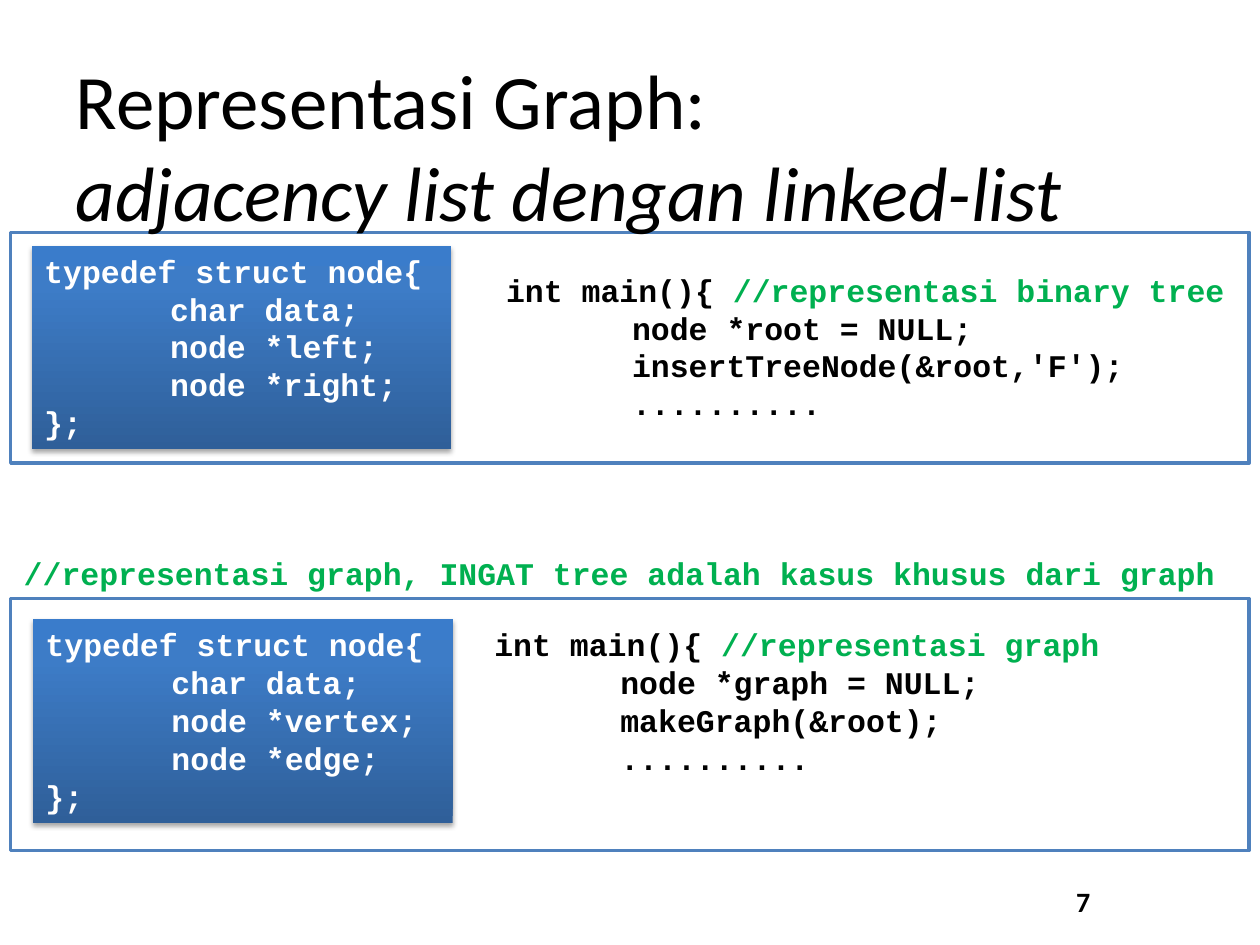
from pptx import Presentation, util as u
from pptx.dml.color import RGBColor
from pptx.enum import shapes, text
from pptx.oxml import parse_xml
from pptx.oxml.ns import nsdecls

WIDE, HIGH = 10, 7.5
COLS, ROWS = 100, 75
MONO, SANS = "Courier New", "Calibri"
BLACK, WHITE, GREEN, BLUE = "000000", "FFFFFF", "00B050", "4F81BD"
STOPS = [(0, "2F5F99"), (80, "3D7CC7"), (100, "3A7CCB")]


def color(hex):
    return RGBColor.from_string(hex)


def place(col, row, wide, high):
    x, y = WIDE / COLS, HIGH / ROWS
    return [u.Inches(n) for n in (col * x, row * y, wide * x, high * y)]


def write(shape, lines, size=18, font=MONO, ink=BLACK, bold=True, pitch=None,
          align=text.PP_ALIGN.LEFT, anchor=text.MSO_ANCHOR.TOP, wrap=True, tab=None):
    frame = shape.text_frame
    frame.word_wrap = wrap
    frame.vertical_anchor = anchor
    for i, line in enumerate(lines):
        para = frame.add_paragraph() if i else frame.paragraphs[0]
        para.alignment = align
        if pitch:
            para.line_spacing = u.Pt(pitch)
        if tab:
            para._p.get_or_add_pPr().append(parse_xml(
                f'<a:tabLst {nsdecls("a")}>'
                f'<a:tab pos="{u.Inches(tab)}" algn="l"/></a:tabLst>'))
        for part in line if isinstance(line, list) else [(line, ink)]:
            words, hue, *slant = part
            if words == "\n":
                para.add_line_break()
                continue
            run = para.add_run()
            run.text = words
            run.font.size = u.Pt(size)
            run.font.name = font
            run.font.bold = bold
            run.font.italic = bool(slant)
            run.font.color.rgb = color(hue)


def label(slide, box, lines, **form):
    shape = slide.shapes.add_textbox(*place(*box))
    write(shape, lines, **form)


def rect(slide, box):
    shape = slide.shapes.add_shape(shapes.MSO_SHAPE.RECTANGLE, *place(*box))
    shape.shadow.inherit = False
    return shape


def shade(shape):
    shape.line.fill.background()
    stops = "".join(f'<a:gs pos="{at * 1000}"><a:srgbClr val="{hex}"/></a:gs>'
                    for at, hex in STOPS)
    props = shape._element.spPr
    props.find("{*}prstGeom").addnext(parse_xml(
        f'<a:gradFill {nsdecls("a")} rotWithShape="1"><a:gsLst>{stops}</a:gsLst>'
        '<a:lin ang="16200000" scaled="0"/></a:gradFill>'))
    props.find("{*}effectLst").append(parse_xml(
        f'<a:outerShdw {nsdecls("a")} blurRad="{u.Pt(3.1)}" dist="{u.Pt(1.8)}" '
        'dir="5400000" rotWithShape="0"><a:srgbClr val="000000">'
        '<a:alpha val="35000"/></a:srgbClr></a:outerShdw>'))


def panel(slide, box, node, main, fields, note, calls):
    left, top, wide, high = box
    frame = rect(slide, box)
    frame.fill.solid()
    frame.fill.fore_color.rgb = color(WHITE)
    frame.line.color.rgb = color(BLUE)
    frame.line.width = u.Pt(2)

    card = rect(slide, (left + node[0], top + node[1], 33.3, 16.15))
    shade(card)
    write(card, ["typedef struct node{", *("\t" + f for f in fields), "};"],
          ink=WHITE, pitch=21.6, tab=1)

    head = [("int main(){ ", BLACK), (note, GREEN)]
    label(slide, (left + main[0], top + main[1], 60, 13.1),
          [head, *("\t" + c for c in calls), "\t.........."], pitch=21.6, tab=1)


def title(slide, box):
    shape = slide.shapes.title
    shape.left, shape.top, shape.width, shape.height = place(*box)
    write(shape, [[("Representasi Graph: ", BLACK), ("\n", BLACK),
                   ("adjacency list dengan linked-list", BLACK, True)]],
          size=44, font=SANS, bold=False, anchor=text.MSO_ANCHOR.MIDDLE)
    slide.shapes._spTree.append(shape._element)


def build():
    deck = Presentation()
    deck.slide_width, deck.slide_height = u.Inches(WIDE), u.Inches(HIGH)
    slide = deck.slides.add_slide(deck.slide_layouts[5])
    panel(slide, (0.85, 18.45, 98.3, 18.3), (1.68, 1.05), (38.33, 2.55),
          ["char data;", "node *left;", "node *right;"],
          "//representasi binary tree",
          ["node *root = NULL;", "insertTreeNode(&root,'F');"])
    title(slide, (5, 3, 90, 17))
    panel(slide, (0.85, 47.5, 98.3, 20), (1.78, 1.65), (37.4, 1.65),
          ["char data;", "node *vertex;", "node *edge;"],
          "//representasi graph",
          ["node *graph = NULL;", "makeGraph(&root);"])
    label(slide, (0.9, 43.5, 97, 4),
          ["//representasi graph, INGAT tree adalah kasus khusus dari graph"],
          ink=GREEN, wrap=False, pitch=21.6)
    label(slide, (71.7, 69.5, 15.8, 4), ["7"], size=16, font=SANS,
          align=text.PP_ALIGN.RIGHT, anchor=text.MSO_ANCHOR.MIDDLE)
    deck.save("out.pptx")


build()
